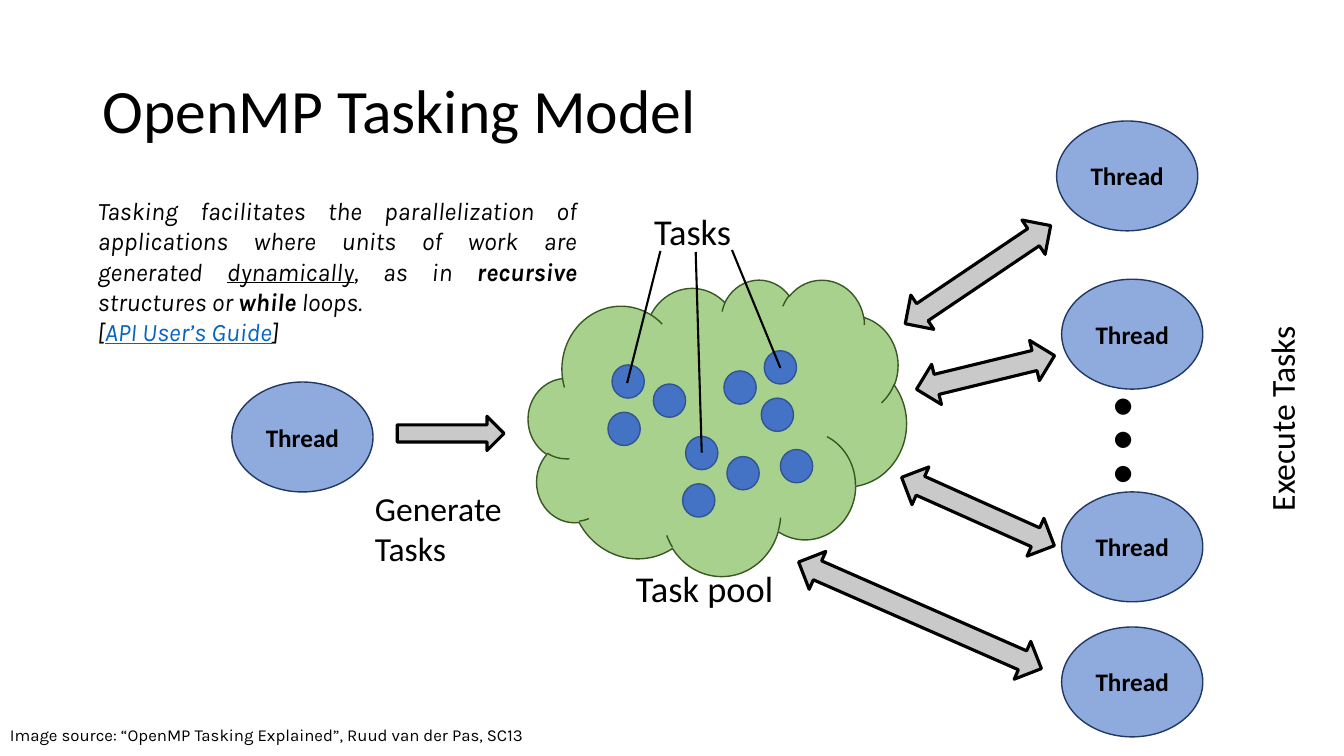
from pptx import Presentation
from pptx.dml.color import RGBColor
from pptx.enum.shapes import MSO_CONNECTOR, MSO_SHAPE
from pptx.enum.text import MSO_ANCHOR, PP_ALIGN
from pptx.oxml.ns import qn
from pptx.util import Inches, Pt
from lxml.etree import SubElement

BLACK, LINK = "000000", "0563C1"
PLAIN, UNDER, BOLD = {}, {"line": True}, {"bold": True}

QUOTE = [
    [("Tasking facilitates the parallelization of applications where units of work are generated ", PLAIN),
     ("dynamically", UNDER), (", as in ", PLAIN), ("recursive", BOLD),
     (" structures or ", PLAIN), ("while", BOLD), (" loops.", PLAIN)],
    [("[", PLAIN), ("API User’s Guide", {"line": True, "ink": LINK}), ("]", PLAIN)],
]
TITLE = "OpenMP Tasking Model"
CREDIT = "Image source: “OpenMP Tasking Explained”, Ruud van der Pas, SC13"

LABELS = [
    (["…"], (11.01, 3.55, 1.18, 1.72), 96, 90),
    (["Generate", "Tasks"], (3.62, 4.79, 2.32, 0.91), 24, 0),
    (["Tasks"], (6.39, 2.03, 1.14, 0.54), 26, 0),
    (["Execute Tasks"], (11.55, 3.76, 2.32, 0.5), 24, 270),
    (["Task pool"], (6.21, 5.57, 1.93, 0.54), 26, 0),
]
THREADS = [(2.3, 3.79), (10.48, 1.2), (10.53, 2.77), (10.53, 4.88), (10.53, 6.22)]
TASKS = [(6.07, 3.62), (6.03, 4.09), (6.48, 3.81), (6.8, 4.33), (6.77, 4.8),
         (7.21, 4.53), (7.58, 3.48), (7.55, 3.95), (7.18, 3.68), (7.74, 4.46)]
ARROWS = [((8.83, 2.52, 1.74, 0.41), 326), ((9.07, 3.49, 1.41, 0.41), 346.3),
          ((8.87, 4.87, 1.66, 0.41), 24.1), ((7.81, 5.9, 2.63, 0.41), 23.7)]
LEADERS = [(6.55, 2.49, 6.22, 3.8), (6.9, 2.5, 6.96, 4.49), (7.26, 2.48, 7.74, 3.65)]


def color(code):
    return RGBColor.from_string(code)


def add_run(para, text, size, face="Calibri", ink=BLACK, bold=False, slant=False, line=False):
    run = para.add_run()
    run.text = text
    font = run.font
    font.name, font.size = face, Pt(size)
    font.bold, font.italic, font.underline = bold, slant, line
    font.color.rgb = color(ink)


def add_text(slide, paras, box, size, turn=0, align=PP_ALIGN.LEFT, **style):
    shape = slide.shapes.add_textbox(*map(Inches, box))
    shape.rotation = turn
    frame = shape.text_frame
    frame.word_wrap = True
    for i, runs in enumerate(paras):
        para = frame.paragraphs[0] if i == 0 else frame.add_paragraph()
        para.alignment = align
        for text, extra in runs:
            add_run(para, text, size, **style, **extra)
    return frame


def add_form(slide, kind, box, fill, edge, width=1, turn=0):
    shape = slide.shapes.add_shape(kind, *map(Inches, box))
    shape.shadow.inherit = False
    shape.fill.solid()
    shape.fill.fore_color.rgb = color(fill)
    shape.line.color.rgb = color(edge)
    shape.line.width = Pt(width)
    shape.rotation = turn
    return shape


def add_thread(slide, left, top):
    shape = add_form(slide, MSO_SHAPE.OVAL, (left, top, 1.4, 1.09), "8FAADC", "203864")
    frame = shape.text_frame
    frame.vertical_anchor = MSO_ANCHOR.MIDDLE
    para = frame.paragraphs[0]
    para.alignment = PP_ALIGN.CENTER
    add_run(para, "Thread", 18, bold=True)


def add_leader(slide, ends):
    line = slide.shapes.add_connector(MSO_CONNECTOR.STRAIGHT, *map(Inches, ends))
    line.line.color.rgb = color(BLACK)
    line.line.width = Pt(1.5)
    SubElement(line.element.spPr, qn("a:effectLst"))


def main():
    deck = Presentation()
    deck.slide_width, deck.slide_height = Inches(13.33), Inches(7.5)
    slide = deck.slides.add_slide(deck.slide_layouts[6])

    title = add_text(slide, [[(TITLE, PLAIN)]], (0.92, 0.4, 11.5, 1.45), 44)
    title.vertical_anchor = MSO_ANCHOR.MIDDLE
    title.paragraphs[0].line_spacing = 0.9
    add_text(slide, [[(CREDIT, PLAIN)]], (0, 7.14, 6.66, 0.3), 12, face="Karla")
    add_text(slide, QUOTE, (0.87, 1.89, 4.95, 1.62), 18,
             align=PP_ALIGN.JUSTIFY, face="Karla", slant=True)

    for left, top in THREADS:
        add_thread(slide, left, top)
    add_form(slide, MSO_SHAPE.CLOUD, (5.24, 2.77, 3.75, 2.94), "A9D18E", "385723")
    for left, top in TASKS:
        add_form(slide, MSO_SHAPE.OVAL, (left, top, 0.32, 0.33), "4472C4", "325491")
    add_form(slide, MSO_SHAPE.RIGHT_ARROW, (3.94, 4.13, 1.06, 0.34), "C9C9C9", BLACK, 2.25)
    for box, turn in ARROWS:
        add_form(slide, MSO_SHAPE.LEFT_RIGHT_ARROW, box, "C9C9C9", BLACK, 2.25, turn)
    for lines, box, size, turn in LABELS:
        add_text(slide, [[(line, PLAIN)] for line in lines], box, size, turn)
    for ends in LEADERS:
        add_leader(slide, ends)

    deck.save("out.pptx")


if __name__ == "__main__":
    main()
